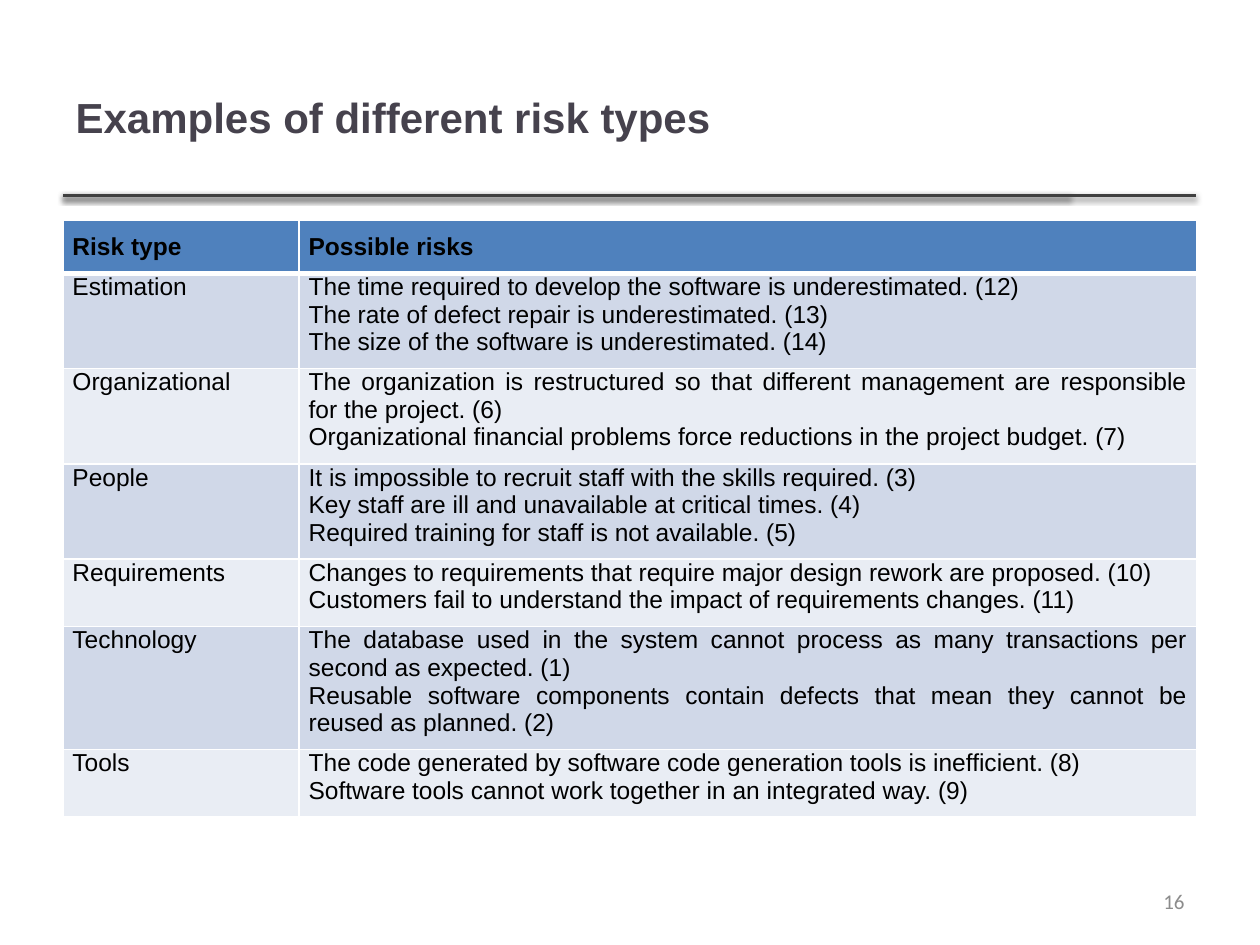
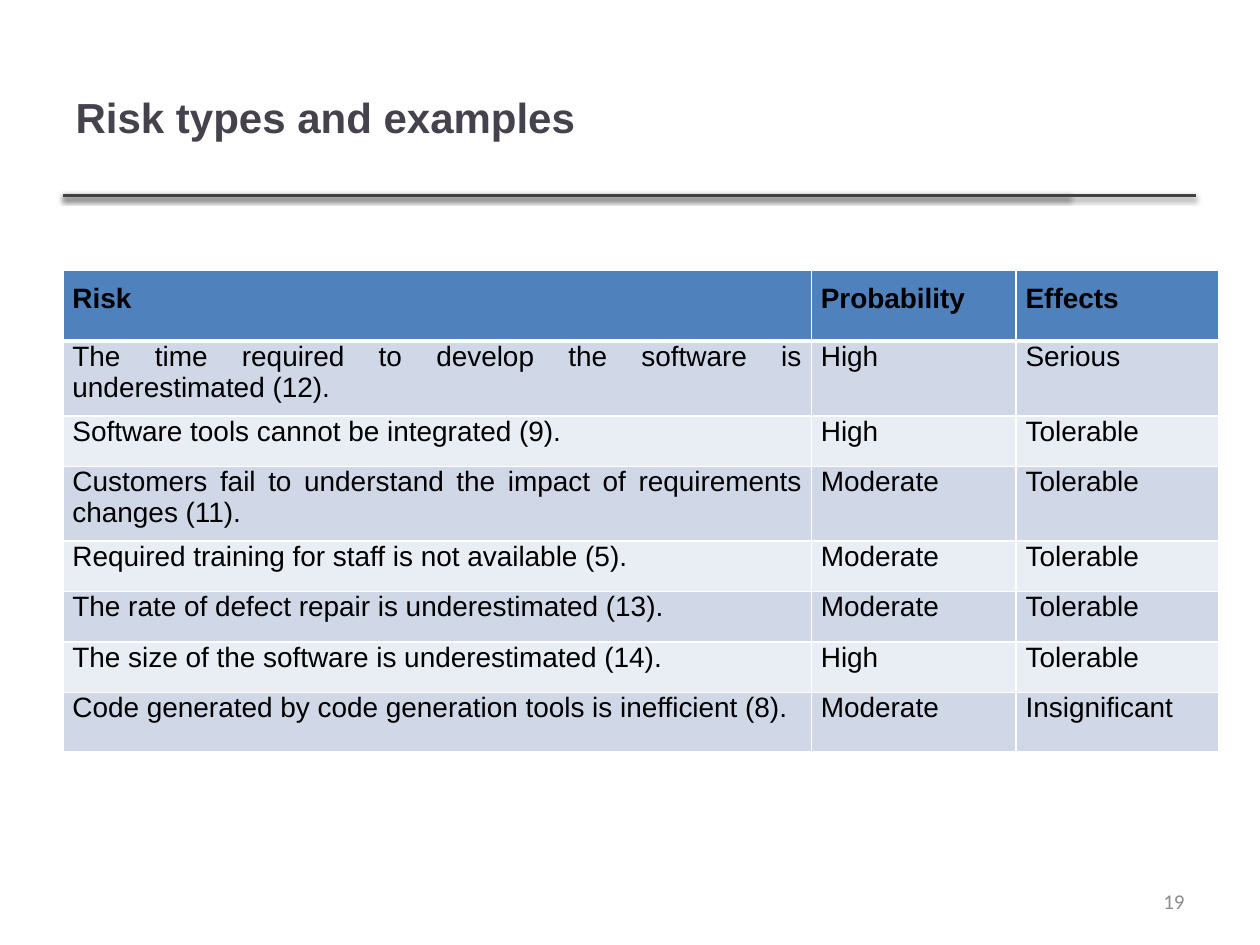
from dataclasses import dataclass

from lxml import etree
from pptx import Presentation
from pptx import util as u
from pptx.dml import color
from pptx.enum import text
from pptx.enum import shapes
from pptx.oxml import ns


@dataclass(frozen=True)
class Theme:
    heading: str = "46424D"
    rule: str = "404040"
    number: str = "8C8C8C"
    ink: str = "000000"
    header: str = "4F81BD"
    bands: tuple = ("D0D8E8", "E9EDF4")
    border: str = "FFFFFF"
    heading_size: int = 24
    number_size: int = 12
    body_font: str = "Arial"
    number_font: str = "Calibri"


THEME = Theme()
LEFT = 36

RISK_TYPES = [
    ("Risk type", "Possible risks"),
    ("Estimation",
     "The time required to develop the software is underestimated. (12)\n"
     "The rate of defect repair is underestimated. (13)\n"
     "The size of the software is underestimated. (14)"),
    ("Organizational",
     "The organization is restructured so that different management are "
     "responsible for the project. (6)\n"
     "Organizational financial problems force reductions in the project budget. (7)"),
    ("People",
     "It is impossible to recruit staff with the skills required. (3)\n"
     "Key staff are ill and unavailable at critical times. (4)\n"
     "Required training for staff is not available. (5)"),
    ("Requirements",
     "Changes to requirements that require major design rework are proposed. (10)\n"
     "Customers fail to understand the impact of requirements changes. (11)"),
    ("Technology",
     "The database used in the system cannot process as many transactions per "
     "second as expected. (1)\n"
     "Reusable software components contain defects that mean they cannot be "
     "reused as planned. (2)"),
    ("Tools",
     "The code generated by software code generation tools is inefficient. (8)\n"
     "Software tools cannot work together in an integrated way. (9)"),
]

RISK_RATINGS = [
    ("Risk", "Probability", "Effects"),
    ("The time required to develop the software is underestimated (12).", "High", "Serious"),
    ("Software tools cannot be integrated (9).", "High", "Tolerable"),
    ("Customers fail to understand the impact of requirements changes (11).",
     "Moderate", "Tolerable"),
    ("Required training for staff is not available (5).", "Moderate", "Tolerable"),
    ("The rate of defect repair is underestimated (13).", "Moderate", "Tolerable"),
    ("The size of the software is underestimated (14).", "High", "Tolerable"),
    ("Code generated by code generation tools is inefficient (8).",
     "Moderate", "Insignificant"),
]


def apply(target, values):
    for name, value in values.items():
        setattr(target, name, value)


def format_text(frame, align, ink, **font):
    for paragraph in frame.paragraphs:
        paragraph.alignment = align
        apply(paragraph.font, font)
        paragraph.font.color.rgb = color.RGBColor.from_string(ink)


def add_rules(slide):
    layout_tree = slide.slide_layout.placeholders[0].element.getparent()
    for end in (611.3, 683.3):
        rule = slide.shapes.add_connector(
            shapes.MSO_CONNECTOR.STRAIGHT, u.Pt(LEFT), u.Pt(111.6), u.Pt(end), u.Pt(111.6))
        rule.line.width = u.Pt(2)
        rule.line.color.rgb = color.RGBColor.from_string(THEME.rule)
        effects = etree.SubElement(rule.element.spPr, ns.qn("a:effectLst"))
        shadow = etree.SubElement(
            effects, ns.qn("a:outerShdw"), blurRad=str(u.Pt(3.1)), dist=str(u.Pt(1.6)),
            dir="5400000", rotWithShape="0")
        tint = etree.SubElement(shadow, ns.qn("a:srgbClr"), val=THEME.ink)
        etree.SubElement(tint, ns.qn("a:alpha"), val="38000")
        layout_tree.append(rule.element)


def add_heading(slide, wording):
    heading = slide.shapes.title
    apply(heading, {"left": u.Pt(LEFT), "top": u.Pt(21.6),
                    "width": u.Pt(574.6), "height": u.Pt(90)})
    heading.text_frame.text = wording
    apply(heading.text_frame, {"vertical_anchor": text.MSO_ANCHOR.MIDDLE,
                               "auto_size": text.MSO_AUTO_SIZE.NONE})
    format_text(heading.text_frame, text.PP_ALIGN.LEFT, THEME.heading,
                size=u.Pt(THEME.heading_size), name=THEME.body_font, bold=True)


def add_number(slide, number):
    frame = slide.shapes.add_textbox(
        u.Pt(516), u.Pt(500.4), u.Pt(168), u.Pt(28.8)).text_frame
    frame.text = str(number)
    apply(frame, {"word_wrap": True, "vertical_anchor": text.MSO_ANCHOR.MIDDLE})
    format_text(frame, text.PP_ALIGN.RIGHT, THEME.number,
                size=u.Pt(THEME.number_size), name=THEME.number_font)


def add_borders(cell, **widths):
    properties = cell._tc.get_or_add_tcPr()
    for index, (side, width) in enumerate(widths.items()):
        border = etree.Element(ns.qn(f"a:ln{side}"), w=str(u.Pt(width)))
        fill = etree.SubElement(border, ns.qn("a:solidFill"))
        etree.SubElement(fill, ns.qn("a:srgbClr"), val=THEME.border)
        properties.insert(index, border)


def fill_cell(cell, wording, row, size):
    is_header = row == 0
    cell.text = wording
    apply(cell, {"margin_left": u.Pt(5.4), "margin_right": u.Pt(5.4),
                 "margin_top": u.Pt(7.2 if is_header else 0), "margin_bottom": u.Pt(7.2)})
    format_text(cell.text_frame, text.PP_ALIGN.JUSTIFY, THEME.ink,
                size=u.Pt(size), name=THEME.body_font, bold=is_header)
    shade = THEME.header if is_header else THEME.bands[(row - 1) % 2]
    cell.fill.solid()
    cell.fill.fore_color.rgb = color.RGBColor.from_string(shade)
    add_borders(cell, L=1, R=1, T=3 if row == 1 else 1, B=3 if is_header else 1)


def add_risk_table(slide, risks, top, widths, heights, size):
    grid = slide.shapes.add_table(
        len(risks), len(widths), u.Pt(LEFT), u.Pt(top),
        u.Pt(sum(widths)), u.Pt(sum(heights))).table
    for column, width in zip(grid.columns, widths):
        column.width = u.Pt(width)
    for row, (entries, height) in enumerate(zip(risks, heights)):
        grid.rows[row].height = u.Pt(height)
        for column, wording in enumerate(entries):
            fill_cell(grid.cell(row, column), wording, row, size)


def add_risk_slide(deck, heading, number, **table):
    slide = deck.slides.add_slide(deck.slide_layouts.get_by_name("Title Only"))
    add_heading(slide, heading)
    add_risk_table(slide, **table)
    add_number(slide, number)
    return slide


def main():
    deck = Presentation()
    apply(deck, {"slide_width": u.Pt(720), "slide_height": u.Pt(540)})
    examples = add_risk_slide(
        deck, "Examples of different risk types", 16, risks=RISK_TYPES, top=126,
        widths=(135, 513), heights=[29.2] * len(RISK_TYPES), size=14)
    add_rules(examples)
    add_risk_slide(
        deck, "Risk types and examples", 19, risks=RISK_RATINGS, top=154.4,
        widths=(427.7, 117, 116),
        heights=(40.5, 33.8, 28.8, 33.8, 28.8, 28.8, 28.8, 33.8), size=16)
    deck.save("out.pptx")


if __name__ == "__main__":
    main()
